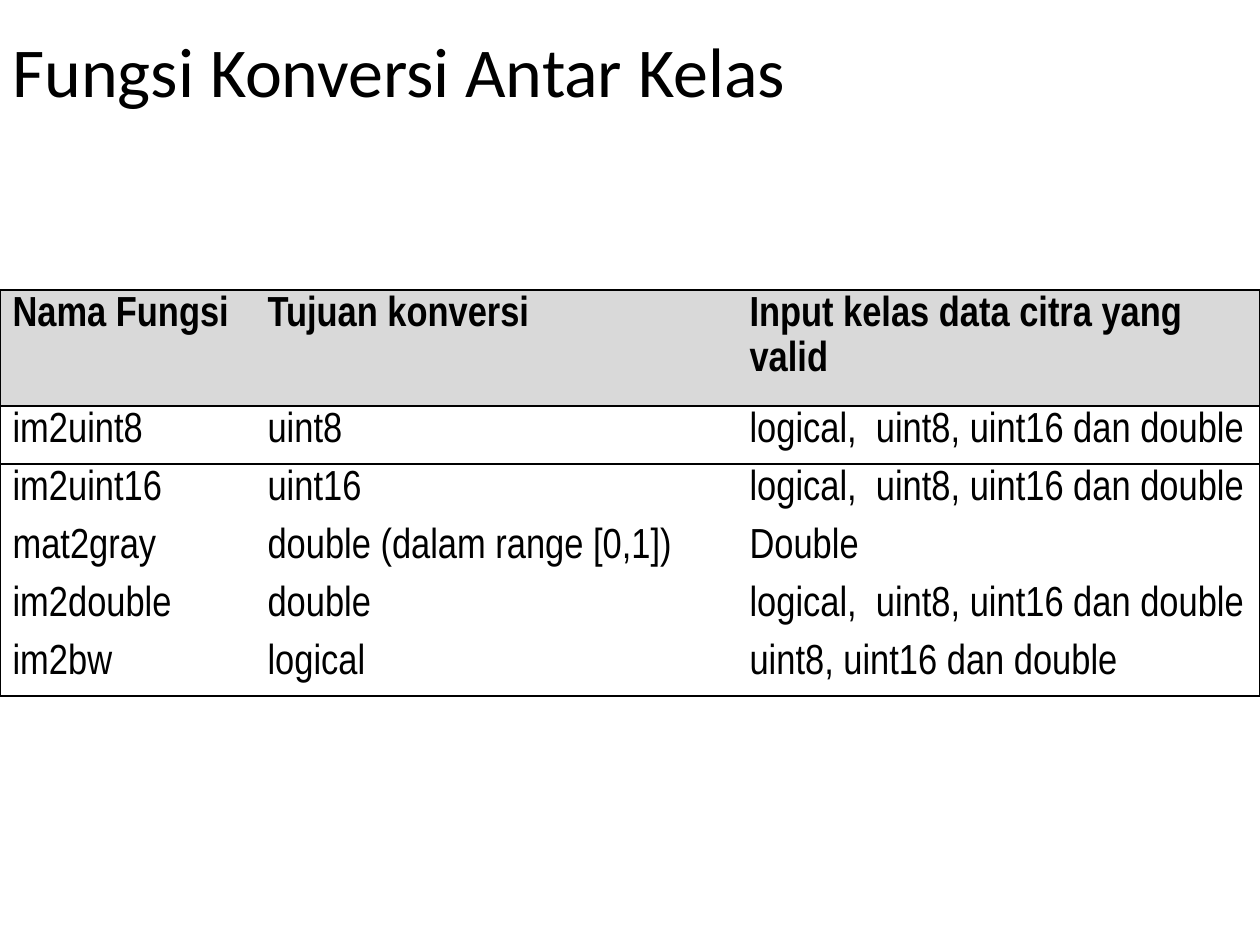
"""Build a slide with a table of image class conversion functions."""
import pptx
import pptx.dml.color
import pptx.enum.text
import pptx.oxml.ns
import pptx.util
from lxml import etree

PX = 914400 // 126
LINE_WIDTH = pptx.util.Pt(1)
BLACK = "000000"
HEADER_GREY = "D9D9D9"
NO_GRID_STYLE = "{2D5ABB26-0587-4C30-8999-92F81FD0307C}"


def color(hex_string):
    """Return the colour for a hex string."""
    return pptx.dml.color.RGBColor.from_string(hex_string)


def add_border(cell, side):
    """Draw a black line on one side of a cell."""
    qn = pptx.oxml.ns.qn
    properties = cell._tc.get_or_add_tcPr()
    line = etree.SubElement(properties, qn(f"a:ln{side}"), w=str(LINE_WIDTH))
    fill = etree.SubElement(line, qn("a:solidFill"))
    etree.SubElement(fill, qn("a:srgbClr"), val=BLACK)


presentation = pptx.Presentation()
presentation.slide_width = pptx.util.Inches(10)
presentation.slide_height = pptx.util.Inches(7.5)
slide = presentation.slides.add_slide(presentation.slide_layouts[6])

title = slide.shapes.add_textbox(0, 24 * PX, 1260 * PX, 102 * PX)
title.text_frame.word_wrap = True
title.text_frame.vertical_anchor = pptx.enum.text.MSO_ANCHOR.MIDDLE
paragraph = title.text_frame.paragraphs[0]
paragraph.text = "Fungsi Konversi Antar Kelas"
paragraph.line_spacing = 0.9
paragraph.font.name = "Calibri"
paragraph.font.size = pptx.util.Pt(40)
paragraph.font.color.rgb = color(BLACK)

rows = [
    ("Nama Fungsi", "Tujuan konversi", "Input kelas data citra yang valid"),
    ("im2uint8", "uint8", "logical,  uint8, uint16 dan double"),
    ("im2uint16", "uint16", "logical,  uint8, uint16 dan double"),
    ("mat2gray", "double (dalam range [0,1])", "Double"),
    ("im2double", "double", "logical,  uint8, uint16 dan double"),
    ("im2bw", "logical", "uint8, uint16 dan double"),
]
column_widths = [255, 482, 523]
row_heights = [110] + [52] * 5
last_row, last_column = len(rows) - 1, len(column_widths) - 1

frame = slide.shapes.add_table(
    len(rows), len(column_widths), 0, 290 * PX,
    sum(column_widths) * PX, sum(row_heights) * PX)
table = frame.table
table.horz_banding = False
table._tbl.tblPr.find(pptx.oxml.ns.qn("a:tableStyleId")).text = NO_GRID_STYLE
for column, width in zip(table.columns, column_widths):
    column.width = width * PX
for row, height in zip(table.rows, row_heights):
    row.height = height * PX

for row_index, texts in enumerate(rows):
    for column_index, text in enumerate(texts):
        cell = table.cell(row_index, column_index)
        cell.margin_top = cell.margin_bottom = 0
        borders = {
            "L": column_index == 0,
            "R": column_index == last_column,
            "T": row_index in (0, 1),
            "B": row_index in (0, last_row),
        }
        for side, is_drawn in borders.items():
            if is_drawn:
                add_border(cell, side)
        if row_index == 0:
            cell.fill.solid()
            cell.fill.fore_color.rgb = color(HEADER_GREY)
        else:
            cell.fill.background()
        paragraph = cell.text_frame.paragraphs[0]
        paragraph.text = text
        paragraph.line_spacing = 1.15
        paragraph.space_before = paragraph.space_after = pptx.util.Pt(2)
        paragraph.font.name = "Arial Narrow"
        paragraph.font.size = pptx.util.Pt(24)
        paragraph.font.bold = row_index == 0
        paragraph.font.color.rgb = color(BLACK)

presentation.save("out.pptx")
